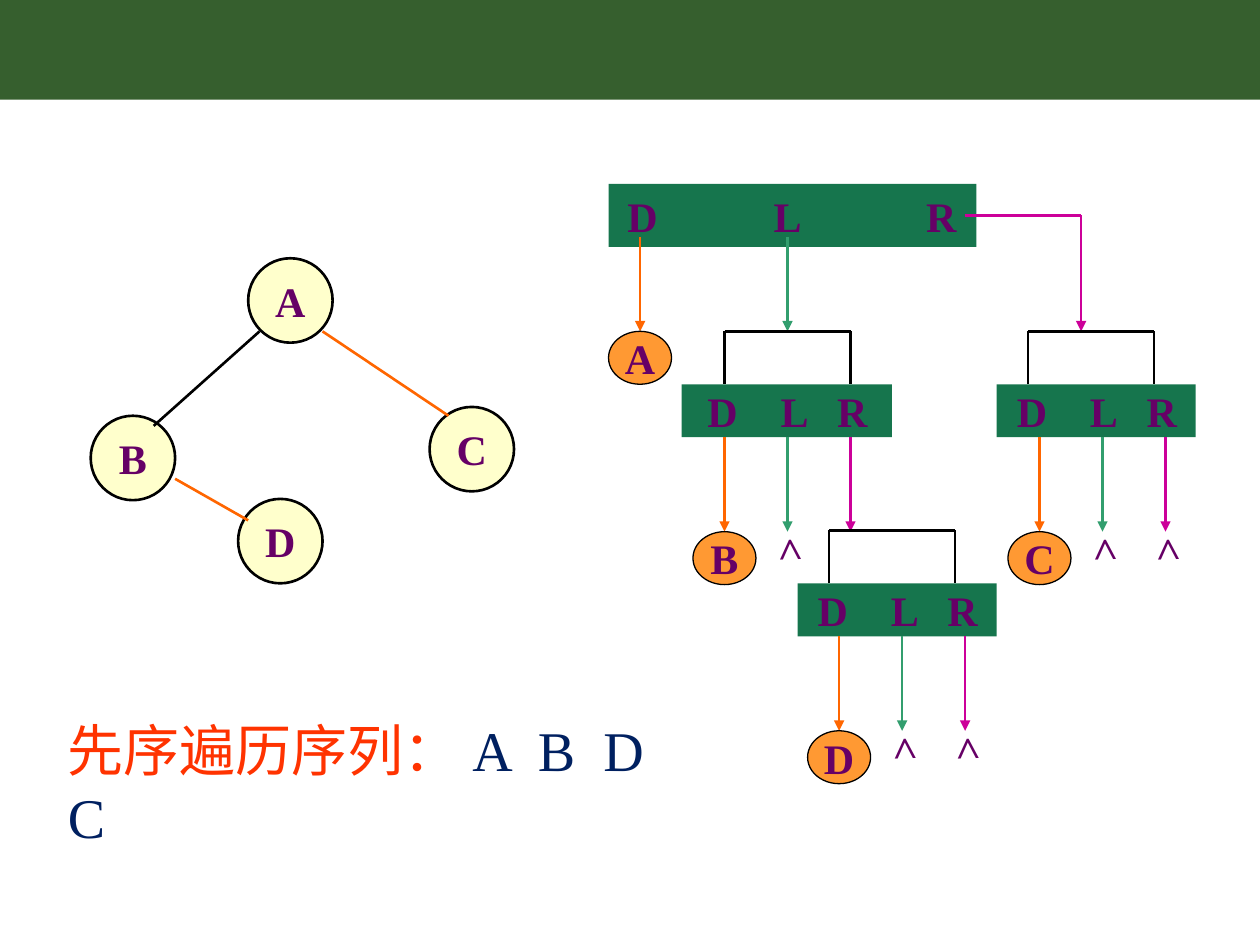
from lxml import etree
from pptx import Presentation
from pptx import util as u
from pptx.dml.color import RGBColor
from pptx.enum import shapes, text
from pptx.oxml.ns import qn

FONT = "Times New Roman"
BANNER = RGBColor(0x36, 0x5F, 0x2E)
BAR = RGBColor(0x16, 0x75, 0x4D)
CREAM = RGBColor(0xFF, 0xFF, 0xCC)
AMBER = RGBColor(0xFF, 0x99, 0x33)
BLACK = RGBColor(0, 0, 0)
PURPLE = RGBColor(0x66, 0x00, 0x66)
ORANGE = RGBColor(0xFF, 0x66, 0x00)
GREEN = RGBColor(0x32, 0x9E, 0x6E)
MAGENTA = RGBColor(0xCC, 0x00, 0x99)
RED = RGBColor(0xFF, 0x33, 0x00)
NAVY = RGBColor(0x00, 0x20, 0x60)

# Content: the binary tree, then the recursive calls of its traversal
TREE_NODES = [("A", 1.97, 2.05), ("D", 1.89, 3.96), ("B", 0.72, 3.3), ("C", 3.41, 3.23)]
TREE_EDGES = [
    ((2.06, 2.63), (1.22, 3.38), BLACK),
    ((2.56, 2.63), (3.56, 3.3), ORANGE),
    ((1.39, 3.8), (1.97, 4.13), ORANGE),
]
STEPS = ["D", "L", "R"]
STEP_COLORS = [ORANGE, GREEN, MAGENTA]
EMPTY = ">"  # turned upright, marks an empty subtree
# bar left, top, width; bracket left; first arrow x; result of each step
CALLS = [
    (5.41, 3.05, 1.67, 5.75, 5.75, ["B", EMPTY, None]),
    (6.33, 4.63, 1.58, 6.58, 6.66, ["D", EMPTY, EMPTY]),
    (7.91, 3.05, 1.58, 8.16, 8.25, ["C", EMPTY, EMPTY]),
]
RESULT_LABEL = "先序遍历序列："
RESULT_LINES = [["A", "B", "D"], ["C"]]

NODE, LEAF_W, LEAF_H = 0.67, 0.5, 0.42
BAR_H, BRACKET_H, BRACKET_W = 0.42, 0.42, 1
ARROW, STEP_GAP = 0.75, 0.5
# Letter starts, measured from the bar's centre
ROOT_STOPS = [-1.31, -0.15, 1.06]
CALL_STOPS = [-0.63, -0.05, 0.4]

deck = Presentation()
deck.slide_width, deck.slide_height = u.Inches(10), u.Inches(7.5)
page = deck.slides.add_slide(deck.slide_layouts[6])


def add_span(para, words, color=PURPLE, size=24, bold=True):
    span = para.add_run()
    span.text = words
    span.font.name, span.font.size, span.font.bold = FONT, u.Pt(size), bold
    span.font.color.rgb = color


def set_tabs(para, stops):
    tabs = etree.SubElement(para._p.get_or_add_pPr(), qn("a:tabLst"))
    for stop in stops:
        etree.SubElement(tabs, qn("a:tab"), pos=str(u.Inches(stop)), algn="l")


def add_box(kind, left, top, width, height, fill, line_width=None):
    box = page.shapes.add_shape(kind, *map(u.Inches, (left, top, width, height)))
    box.shadow.inherit = False
    box.fill.solid()
    box.fill.fore_color.rgb = fill
    if line_width:
        box.line.color.rgb = BLACK
        box.line.width = u.Pt(line_width)
    else:
        box.line.fill.background()
    return box


def add_circle(letter, left, top, width, height, fill, line_width):
    box = add_box(shapes.MSO_SHAPE.OVAL, left, top, width, height, fill, line_width)
    frame = box.text_frame
    frame.word_wrap = False
    frame.vertical_anchor = text.MSO_ANCHOR.MIDDLE
    frame.paragraphs[0].alignment = text.PP_ALIGN.CENTER
    add_span(frame.paragraphs[0], letter)


def add_bar(left, top, width, height, stops):
    box = add_box(shapes.MSO_SHAPE.RECTANGLE, left, top, width, height, BAR)
    frame = box.text_frame
    first, *others = [width / 2 + stop for stop in stops]
    frame.margin_left, frame.margin_right = u.Inches(first), 0
    frame.vertical_anchor = text.MSO_ANCHOR.MIDDLE
    para = frame.paragraphs[0]
    para.alignment = text.PP_ALIGN.LEFT
    set_tabs(para, [stop - first for stop in others])
    add_span(para, "\t".join(STEPS))


def add_line(start, end, color, arrow=False):
    line = page.shapes.add_connector(
        shapes.MSO_CONNECTOR.STRAIGHT, *map(u.Inches, (*start, *end)))
    line.line.color.rgb = color
    line.line.width = u.Pt(1.5)
    if arrow:
        etree.SubElement(line.line._get_or_add_ln(), qn("a:tailEnd"), type="triangle")
    etree.SubElement(line._element.spPr, qn("a:effectLst"))


def add_leaf(letter, x, top):
    add_circle(letter, x - LEAF_W / 2, top, LEAF_W, LEAF_H, AMBER, 0.75)


def add_empty_mark(x, top):
    box = page.shapes.add_textbox(*map(u.Inches, (x - 0.21, top - 0.12, 0.42, 0.5)))
    box.rotation = 268.3
    box.text_frame.word_wrap = True
    add_span(box.text_frame.paragraphs[0], EMPTY)


# Banner
add_box(shapes.MSO_SHAPE.RECTANGLE, 0, 0, 10, 0.79, BANNER)

# Binary tree
for letter, left, top in TREE_NODES:
    add_circle(letter, left, top, NODE, NODE, CREAM, 1.5)
for start, end, color in TREE_EDGES:
    add_line(start, end, color)

# Call on the root
add_bar(4.83, 1.46, 2.92, 0.5, ROOT_STOPS)
for x, color in ((5.08, ORANGE), (6.25, GREEN)):
    add_line((x, 1.88), (x, 1.88 + ARROW), color, arrow=True)
add_leaf("A", 5.08, 2.63)
add_line((7.66, 1.71), (8.58, 1.71), MAGENTA)
add_line((8.58, 1.71), (8.58, 2.63), MAGENTA, arrow=True)

# Calls on the subtrees: bracket, bar, then one arrow for each step
for left, top, width, bracket, first_x, results in CALLS:
    roof, right = top - BRACKET_H, bracket + BRACKET_W
    add_line((bracket, roof), (right, roof), BLACK)
    for x in (bracket, right):
        add_line((x, roof), (x, top), BLACK)
    add_bar(left, top, width, BAR_H, CALL_STOPS)
    start = top + BAR_H
    end = start + ARROW
    for i, (result, color) in enumerate(zip(results, STEP_COLORS)):
        x = first_x + i * STEP_GAP
        add_line((x, start), (x, end), color, arrow=True)
        if result == EMPTY:
            add_empty_mark(x, end)
        elif result:
            add_leaf(result, x, end)

# Traversal result
box = page.shapes.add_textbox(*map(u.Inches, (0.44, 5.63, 5.24, 0.64)))
box.text_frame.word_wrap = True
para = box.text_frame.paragraphs[0]
set_tabs(para, [3.21 + i * 0.52 for i in range(3)])
add_span(para, RESULT_LABEL + "\t", RED, 32, False)
for i, letters in enumerate(RESULT_LINES):
    if i:
        para.add_line_break()
    add_span(para, "\t".join(letters), NAVY, 32, False)

deck.save("out.pptx")
